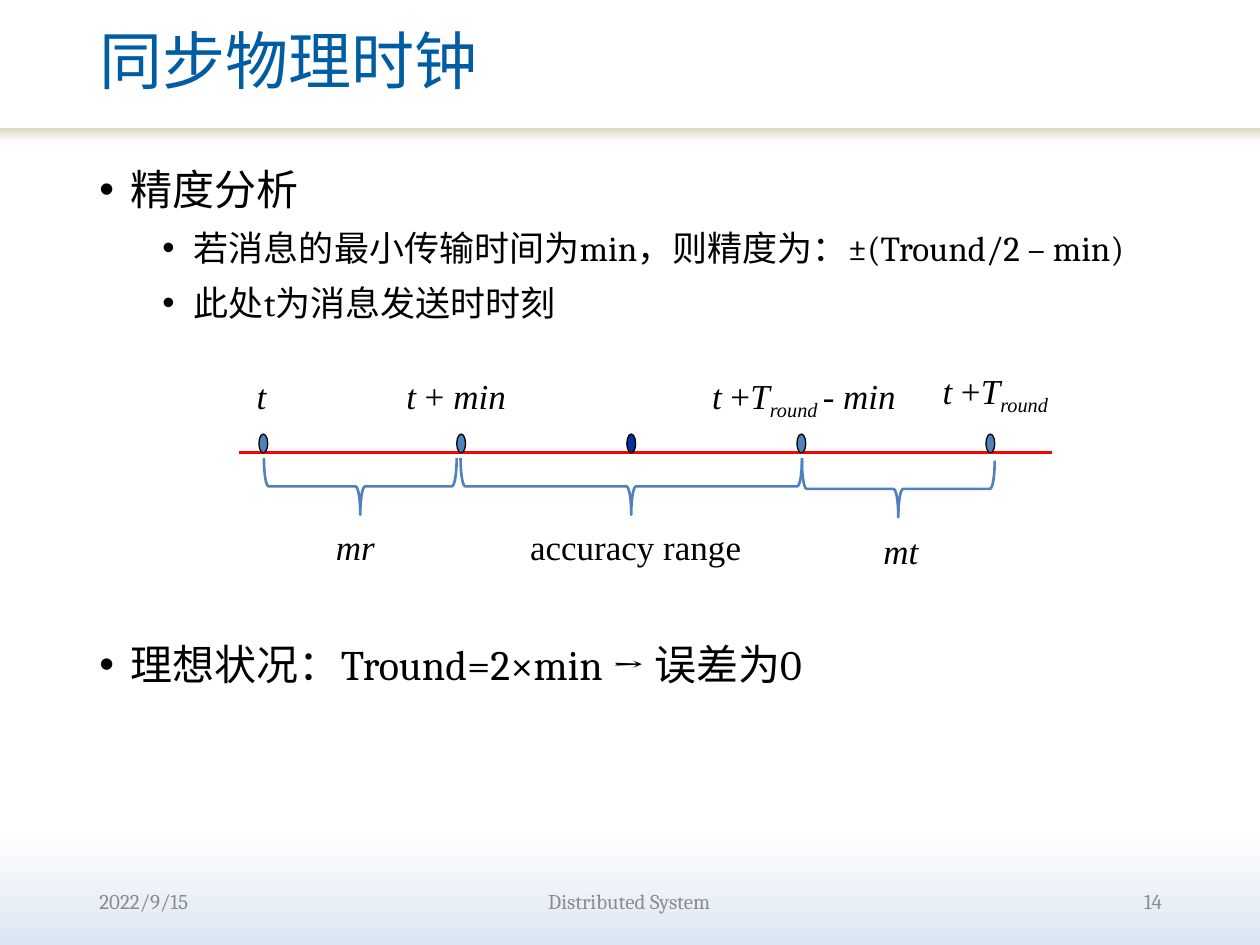
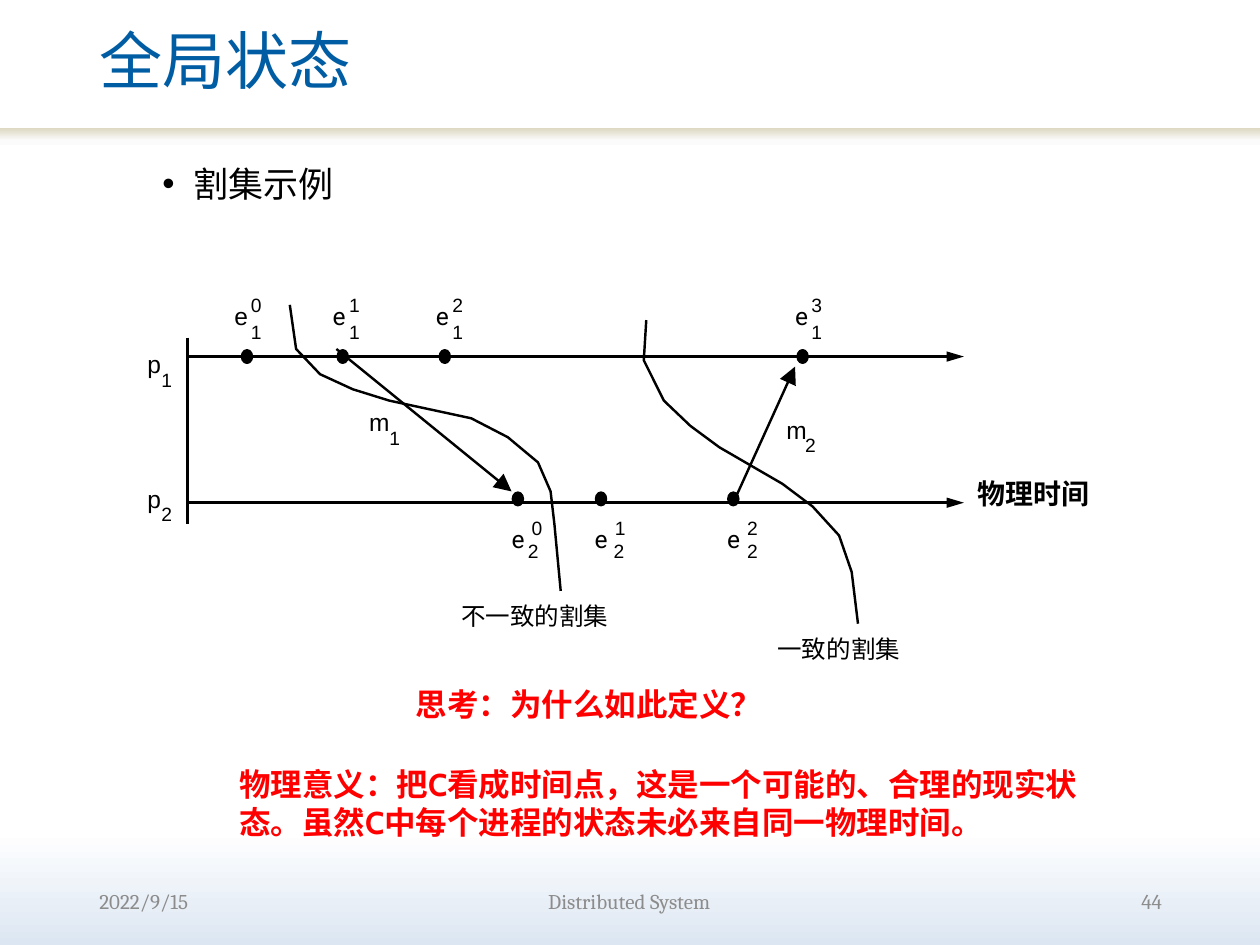
from lxml.etree import SubElement
from pptx import Presentation
from pptx.dml.color import RGBColor
from pptx.enum.lang import MSO_LANGUAGE_ID
from pptx.enum.shapes import MSO_CONNECTOR, MSO_SHAPE
from pptx.enum.text import MSO_ANCHOR, PP_ALIGN
from pptx.oxml.ns import qn
from pptx.util import Inches, Pt

COLORS = {
    "title": "005DA3", "text": "000000", "footer": "8C8C8C", "white": "FFFFFF",
    "sky": "DCE6F2", "band_middle": "FBFBFB", "band_edge": "DDD9C3",
    "red": "FF0000", "blue": "4F81BD", "navy": "003399",
}
HEADING_FONT = "Cambria"
MATH_FONT = "Times New Roman"
DIAGRAM_FONT = "Arial"
EMPHASIS_FONT = "Cabin"
LABEL_FONT = "Roboto"
STROKE = 1.38
BULLET_LEVELS = [(0.25, 24, 10), (0.75, 20, 5)]


def rgb(name):
    return RGBColor.from_string(COLORS[name])


def set_gradient(element, fill, stops, angle):
    fill.gradient()
    fill.gradient_angle = angle
    stop_list = next(element.iter(qn("a:gsLst")))
    for stop in list(stop_list):
        stop_list.remove(stop)
    for position, color in stops:
        stop = SubElement(stop_list, qn("a:gs"), pos=str(position * 1000))
        SubElement(stop, qn("a:srgbClr"), val=COLORS[color])


def add_run(paragraph, text, font, size, color="text", bold=False, italic=False, subscript=False):
    run = paragraph.add_run()
    run.text = text
    run.font.name = font
    run.font.size = Pt(size)
    run.font.bold = bold
    run.font.italic = italic
    run.font.color.rgb = rgb(color)
    run.font.language_id = MSO_LANGUAGE_ID.SIMPLIFIED_CHINESE
    if subscript:
        run.font._element.set("baseline", "-25000")


def add_frame(slide, left, top, width, height, anchor=MSO_ANCHOR.TOP, inset=True):
    box = slide.shapes.add_textbox(Inches(left), Inches(top), Inches(width), Inches(height))
    frame = box.text_frame
    frame.word_wrap = True
    frame.vertical_anchor = anchor
    if not inset:
        frame.margin_left = frame.margin_right = frame.margin_top = frame.margin_bottom = 0
    return frame


def add_label(slide, left, top, width, text, font, size, **style):
    frame = add_frame(slide, left, top, width, 0.3, inset=False)
    add_run(frame.paragraphs[0], text, font, size, **style)


def add_bullets(slide, top, height, items):
    frame = add_frame(slide, 0.69, top, 8.62, height)
    for index, (level, text) in enumerate(items):
        paragraph = frame.add_paragraph() if index else frame.paragraphs[0]
        indent, size, space = BULLET_LEVELS[level]
        properties = paragraph._p.get_or_add_pPr()
        properties.set("marL", str(Inches(indent)))
        properties.set("indent", str(Inches(-0.25)))
        SubElement(properties, qn("a:buFont"), typeface="Arial")
        SubElement(properties, qn("a:buChar"), char="•")
        paragraph.line_spacing = 1.1
        if index:
            paragraph.space_before = Pt(space)
        add_run(paragraph, text, HEADING_FONT, size)


def add_line(slide, start, end, color="text", width=STROKE, head=None):
    points = [Inches(value) for value in (*start, *end)]
    line = slide.shapes.add_connector(MSO_CONNECTOR.STRAIGHT, *points)
    line.line.color.rgb = rgb(color)
    line.line.width = Pt(width)
    if head:
        SubElement(line.line._get_or_add_ln(), qn("a:tailEnd"), type="triangle", w=head, len="lg")
    SubElement(line._element.spPr, qn("a:effectLst"))


def add_dot(slide, x, y, width, height, fill, stroke):
    dot = slide.shapes.add_shape(MSO_SHAPE.OVAL, Inches(x - width / 2), Inches(y - height / 2),
                                 Inches(width), Inches(height))
    dot.shadow.inherit = False
    dot.fill.solid()
    dot.fill.fore_color.rgb = rgb(fill)
    dot.line.color.rgb = rgb("text")
    dot.line.width = Pt(stroke)


def add_brace(slide, x, y, span):
    depth = 0.45
    brace = slide.shapes.add_shape(MSO_SHAPE.LEFT_BRACE, Inches(x - depth / 2), Inches(y - span / 2),
                                   Inches(depth), Inches(span))
    brace.rotation = 270
    brace.shadow.inherit = False
    brace.fill.background()
    brace.line.color.rgb = rgb("blue")
    brace.line.width = Pt(1.5)


def add_formula(slide, left, top, width, runs):
    paragraph = add_frame(slide, left, top, width, 0.44).paragraphs[0]
    paragraph.alignment = PP_ALIGN.CENTER
    for text, style in runs:
        add_run(paragraph, text, MATH_FONT, 20, italic="i" in style, subscript="s" in style)


def add_indexed(slide, x, y, letter, font, lower, upper=None):
    add_label(slide, x, y, 0.25, letter, font, 14)
    for text, (dx, dy) in filter(None, (lower, upper)):
        add_label(slide, x + dx, y + dy, 0.15, text, DIAGRAM_FONT, 11)


def add_cut(slide, points):
    start, *rest = [(Inches(x), Inches(y)) for x, y in points]
    builder = slide.shapes.build_freeform(*start)
    builder.add_line_segments(rest, close=False)
    curve = builder.convert_to_shape()
    curve.shadow.inherit = False
    curve.fill.background()
    curve.line.color.rgb = rgb("text")
    curve.line.width = Pt(STROKE)


def add_note(slide, left, top, width, height, text):
    frame = add_frame(slide, left, top, width, height)
    add_run(frame.paragraphs[0], text, EMPHASIS_FONT, 18, color="red", bold=True)


def start_slide(presentation, title, number):
    slide = presentation.slides.add_slide(presentation.slide_layouts[6])
    set_gradient(slide._element, slide.background.fill,
                 [(0, "white"), (88, "white"), (100, "sky")], 270)
    band = slide.shapes.add_shape(MSO_SHAPE.RECTANGLE, 0, Inches(1.02), Inches(10), Inches(0.17))
    band.shadow.inherit = False
    band.line.fill.background()
    set_gradient(band._element, band.fill,
                 [(0, "white"), (45, "band_middle"), (100, "band_edge")], 90)
    heading = add_frame(slide, 0.69, 0, 8.3, 1.02, MSO_ANCHOR.MIDDLE).paragraphs[0]
    heading.line_spacing = 0.9
    add_run(heading, title, HEADING_FONT, 36, color="title")
    for left, width, text, alignment in [
        (0.69, 2.08, "2022/9/15", PP_ALIGN.LEFT),
        (2.76, 4.47, "Distributed System", PP_ALIGN.CENTER),
        (7.24, 2.08, str(number), PP_ALIGN.RIGHT),
    ]:
        footer = add_frame(slide, left, 6.95, width, 0.4, MSO_ANCHOR.MIDDLE).paragraphs[0]
        footer.alignment = alignment
        add_run(footer, text, HEADING_FONT, 12, color="footer")
    return slide


def build_clock_slide(presentation):
    slide = start_slide(presentation, "同步物理时钟", 14)
    add_bullets(slide, 1.21, 1.6, [
        (0, "精度分析"),
        (1, "若消息的最小传输时间为min，则精度为：±(Tround/2 – min)"),
        (1, "此处t为消息发送时时刻"),
    ])
    add_bullets(slide, 4.98, 0.6, [(0, "理想状况：Tround=2×min → 误差为0")])
    add_line(slide, (1.9, 3.59), (8.35, 3.59), "red", 2)
    for x, color in [(2.09, "blue"), (3.66, "blue"), (5.01, "navy"), (6.36, "blue"), (7.86, "blue")]:
        add_dot(slide, x, 3.52, 0.07, 0.15, color, 0.75)
    end_time = [("t", "i"), (" +", ""), ("T", "i")]
    for left, top, width, runs in [
        (1.85, 2.92, 0.45, [("t", "i")]),
        (2.87, 2.92, 1.5, [("t", "i"), (" + ", ""), ("min", "i")]),
        (5.29, 2.92, 2.18, end_time + [("round ", "is"), ("- ", ""), ("min", "i")]),
        (7.15, 2.88, 1.5, end_time + [("round", "is")]),
        (2.54, 4.12, 0.56, [("mr", "i")]),
        (4.1, 4.12, 1.89, [("accuracy range", "")]),
        (6.87, 4.15, 0.56, [("mt", "i")]),
    ]:
        add_formula(slide, left, top, width, runs)
    for x, y, span in [(2.86, 3.86, 1.53), (5.01, 3.86, 2.71), (7.13, 3.88, 1.53)]:
        add_brace(slide, x, y, span)


def build_cut_slide(presentation):
    slide = start_slide(presentation, "全局状态", 44)
    add_bullets(slide, 1.21, 0.6, [(1, "割集示例")])
    add_line(slide, (1.49, 2.68), (1.49, 4.16))
    for y in (2.83, 3.99):
        add_line(slide, (1.49, y), (7.65, y), head="med")
    add_line(slide, (2.67, 2.77), (4.06, 3.9), head="lg")
    add_line(slide, (5.82, 3.99), (6.31, 2.91), head="lg")

    for x, label_x, order, font in [
        (1.96, 1.86, "0", DIAGRAM_FONT), (2.72, 2.64, "1", LABEL_FONT),
        (3.53, 3.46, "2", LABEL_FONT), (6.37, 6.31, "3", LABEL_FONT),
    ]:
        add_dot(slide, x, 2.83, 0.08, 0.1, "text", STROKE)
        add_indexed(slide, label_x, 2.39, "e", font, ("1", (0.13, 0.15)), (order, (0.13, -0.06)))
    for x, order, lower_dx in [(4.11, "0", 0.13), (4.77, "1", 0.15), (5.82, "2", 0.16)]:
        add_dot(slide, x, 3.96, 0.08, 0.1, "text", STROKE)
        add_indexed(slide, x - 0.05, 4.16, "e", LABEL_FONT,
                    ("2", (lower_dx, 0.12)), (order, (0.16, -0.06)))
    for x, y, letter, index, dx in [
        (1.17, 2.77, "p", "1", 0.11), (1.17, 3.84, "p", "2", 0.11),
        (2.93, 3.23, "m", "1", 0.16), (6.24, 3.29, "m", "2", 0.15),
    ]:
        add_indexed(slide, x, y, letter, DIAGRAM_FONT, (index, (dx, 0.15)))

    add_cut(slide, [(2.3, 2.42), (2.35, 2.77), (2.54, 2.97), (2.8, 3.09), (3.09, 3.18), (3.74, 3.32),
                    (4.03, 3.47), (4.27, 3.67), (4.37, 3.9), (4.4, 4.16), (4.45, 4.69)])
    add_cut(slide, [(5.13, 2.54), (5.11, 2.86), (5.27, 3.18), (5.48, 3.38), (5.71, 3.55),
                    (6.21, 3.84), (6.45, 4.02), (6.66, 4.25), (6.76, 4.54), (6.81, 4.95)])
    add_label(slide, 3.66, 4.77, 1.54, "不一致的割集", LABEL_FONT, 14)
    add_label(slide, 6.17, 5.03, 1.28, "一致的割集", LABEL_FONT, 14)
    add_label(slide, 7.76, 3.78, 1.18, "物理时间", EMPHASIS_FONT, 16, bold=True)
    add_note(slide, 3.2, 5.39, 3.2, 0.4, "思考：为什么如此定义？")
    add_note(slide, 1.8, 6.02, 6.93, 0.71,
             "物理意义：把C看成时间点，这是一个可能的、合理的现实状态。虽然C中每个进程的状态未必来自同一物理时间。")


def main():
    presentation = Presentation()
    presentation.slide_width = Inches(10)
    presentation.slide_height = Inches(7.5)
    build_clock_slide(presentation)
    build_cut_slide(presentation)
    presentation.save("out.pptx")


if __name__ == "__main__":
    main()
